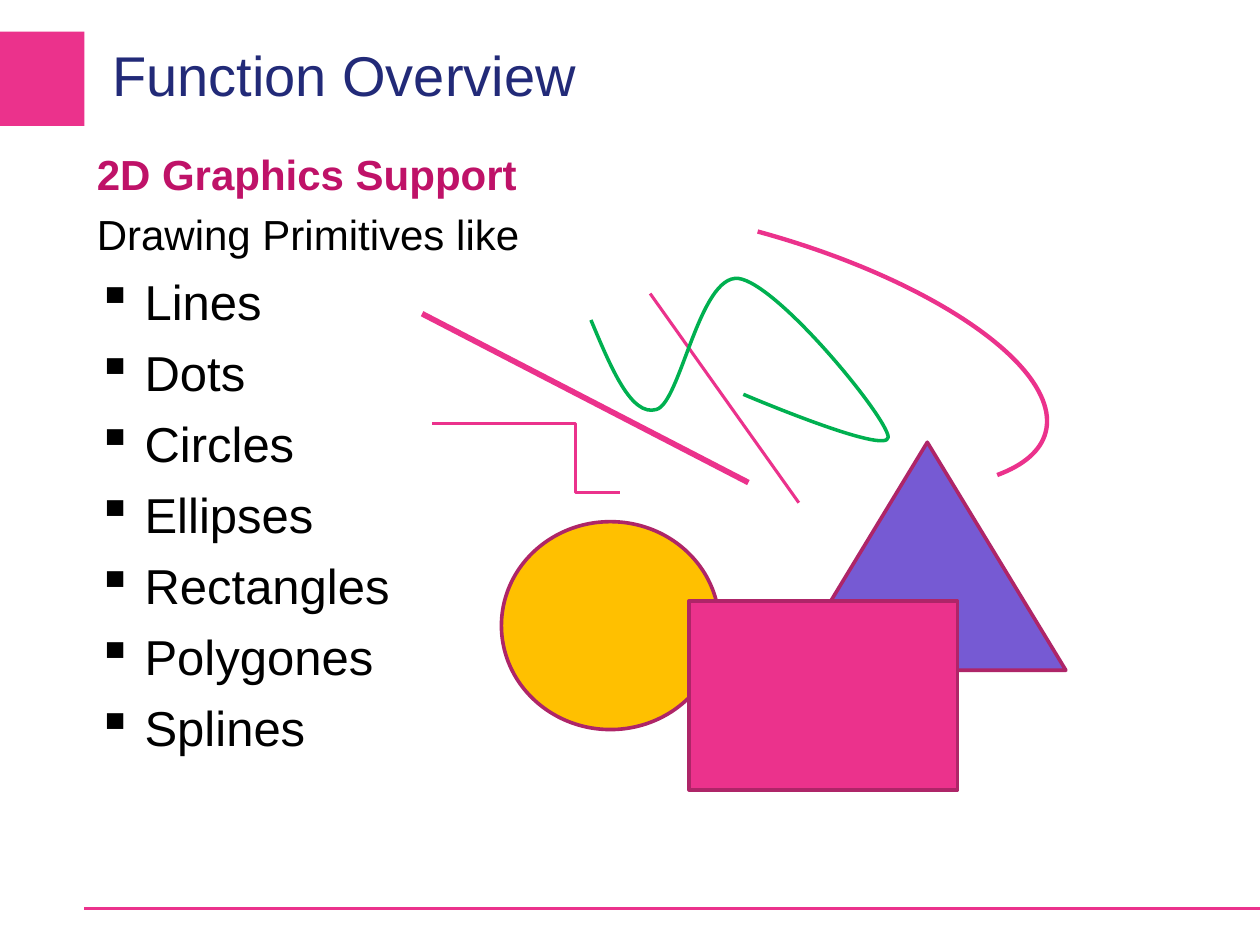
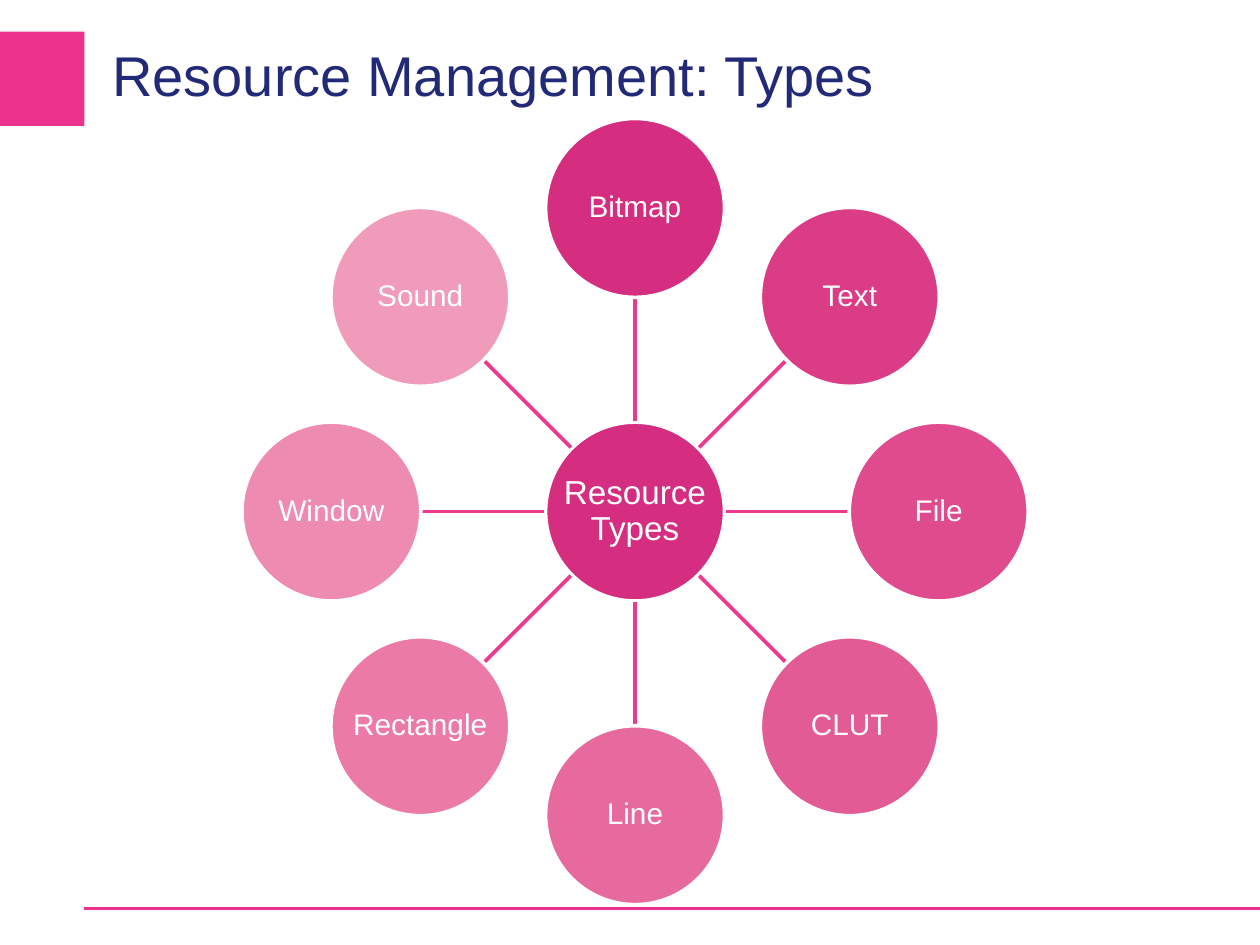
import math
import pptx
import pptx.util
import pptx.dml.color
import pptx.enum.shapes
import pptx.enum.text
import pptx.oxml
import pptx.oxml.ns

Inches = pptx.util.Inches
Pt = pptx.util.Pt
MSO = pptx.enum.shapes.MSO_SHAPE
CONNECTOR = pptx.enum.shapes.MSO_CONNECTOR
MIDDLE = pptx.enum.text.MSO_ANCHOR.MIDDLE
CENTER = pptx.enum.text.PP_ALIGN.CENTER
qn = pptx.oxml.ns.qn

FONT = "Arial"
PINK, NAVY, MAGENTA = "EB328C", "222A78", "BF1268"
OUTLINE, SPOKE, WHITE, BLACK = "AE2568", "EB3A8E", "FFFFFF", "000000"
GREEN, YELLOW, VIOLET = "00B050", "FFC000", "765AD3"


def rgb(value):
    return pptx.dml.color.RGBColor.from_string(value)


def add_child(parent, tag, **attributes):
    child = parent.makeelement(qn(tag), attributes)
    parent.append(child)
    return child


def style_font(p, size, color, bold=False):
    for r in p.runs:
        r.font.name = FONT
        r.font.size = Pt(size)
        r.font.bold = bold
        r.font.color.rgb = rgb(color)


def style_shape(sp, fill=None, line=None, width=2.08):
    sp.shadow.inherit = False
    if fill:
        sp.fill.solid()
        sp.fill.fore_color.rgb = rgb(fill)
    else:
        sp.fill.background()
    if line:
        sp.line.color.rgb = rgb(line)
        sp.line.width = Pt(width)
    else:
        sp.line.fill.background()


def add_shape(s, kind, box, fill=None, line=None, width=2.08):
    sp = s.shapes.add_shape(kind, *map(Inches, box))
    style_shape(sp, fill, line, width)
    return sp


def add_line(s, start, end, color, width, kind=CONNECTOR.STRAIGHT):
    line = s.shapes.add_connector(kind, *map(Inches, (*start, *end)))
    line.line.color.rgb = rgb(color)
    line.line.width = Pt(width)
    add_child(line._element.spPr, "a:effectLst")
    return line


def add_text_box(s, box):
    tf = s.shapes.add_textbox(*map(Inches, box)).text_frame
    tf.word_wrap = True
    return tf


def add_slide(prs, title):
    """Blank slide with the corner block, footer rule and title."""
    s = prs.slides.add_slide(prs.slide_layouts[6])
    add_shape(s, MSO.RECTANGLE, (0, 0.25, 0.67, 0.75), PINK)
    add_line(s, (0.67, 7.21), (10, 7.21), PINK, 2)
    tf = add_text_box(s, (0.89, 0.16, 6.79, 0.85))
    tf.margin_left = tf.margin_right = tf.margin_top = tf.margin_bottom = 0
    tf.vertical_anchor = MIDDLE
    tf.text = title
    style_font(tf.paragraphs[0], 32, NAVY)
    return s


def add_primitive_list(s, box, heading, intro, items):
    tf = add_text_box(s, box)
    tf.text = "\n".join([heading, intro, *items])
    head, lead, *bullets = tf.paragraphs
    style_font(head, 24, MAGENTA, bold=True)
    style_font(lead, 24, BLACK)
    lead.space_before = Pt(5.5)
    for p in bullets:
        p.space_before = Pt(7)
        pPr = p._p.get_or_add_pPr()
        pPr.set("marL", str(Inches(0.38)))
        pPr.set("indent", str(-Inches(0.38)))
        add_child(pPr, "a:buChar", char="▪")
        style_font(p, 28, BLACK)


def add_spline(s, origin, start, curves, color):
    """Each curve holds two control points and an end point."""
    x, y = origin
    place = lambda point: (Inches(x + point[0]), Inches(y + point[1]))
    builder = s.shapes.build_freeform(*place(start))
    builder.add_line_segments([place(pt) for curve in curves for pt in curve], close=False)
    sp = builder.convert_to_shape()
    style_shape(sp, line=color, width=2)
    # Group the line segments by three into cubic curves
    segments = list(sp._element.iter(qn("a:lnTo")))
    outline = segments[0].getparent()
    for i in range(0, len(segments), 3):
        curve = add_child(outline, "a:cubicBezTo")
        for segment in segments[i:i + 3]:
            curve.append(segment[0])
            outline.remove(segment)


def add_drawing_samples(s, x, y):
    """Sample lines, curves and filled shapes, placed from the corner x, y."""
    at = lambda dx, dy, *size: (x + dx, y + dy, *size)
    # Straight lines
    add_line(s, at(1.81, 0.53), at(2.99, 2.19), PINK, 1.75)
    add_line(s, at(0, 0.69), at(2.59, 2.03), PINK, 3.25)
    # Filled shapes behind the rectangle
    add_shape(s, MSO.ISOSCELES_TRIANGLE, at(2.91, 1.71, 2.2, 1.81), VIOLET, OUTLINE)
    add_shape(s, MSO.OVAL, at(0.63, 2.34, 1.73, 1.65), YELLOW, OUTLINE)
    # Stepped line
    step = add_line(s, at(0.08, 1.56), at(1.57, 2.11), PINK, 1.5, CONNECTOR.ELBOW)
    guides = step._element.spPr.find(qn("a:prstGeom")).find(qn("a:avLst"))
    add_child(guides, "a:gd", name="adj1", fmla="val 76500")
    # Arc
    arc = add_shape(s, MSO.ARC, at(-0.24, 0, 5.28, 1.89), None, PINK, 2.5)
    arc.adjustments[0], arc.adjustments[1] = 162.65, 6.14
    arc.rotation = 15.1
    # Rectangle and spline
    add_shape(s, MSO.RECTANGLE, at(2.12, 2.97, 2.13, 1.5), PINK, OUTLINE)
    add_spline(s, at(1.34, 0.38), (0, 0.36), [
        ((0.16, 0.74), (0.32, 1.13), (0.52, 1.07)),
        ((0.71, 1.02), (0.86, 0), (1.17, 0.03)),
        ((1.48, 0.07), (2.35, 1.13), (2.36, 1.29)),
        ((2.36, 1.44), (1.21, 0.95), (1.21, 0.95)),
    ], GREEN)


def add_node(s, center, diameter, label, size, fill):
    x, y = center
    box = (x - diameter / 2, y - diameter / 2, diameter, diameter)
    sp = add_shape(s, MSO.OVAL, box, fill, WHITE)
    tf = sp.text_frame
    tf.word_wrap = False
    tf.margin_left = tf.margin_right = tf.margin_top = tf.margin_bottom = Inches(0.01)
    tf.vertical_anchor = MIDDLE
    tf.text = label
    p = tf.paragraphs[0]
    p.alignment = CENTER
    p.line_spacing = 0.9
    style_font(p, size, WHITE)


def add_radial_diagram(s, center, hub, nodes, radius=2.41, diameter=1.42):
    """Hub with nodes spaced evenly clockwise from the top."""
    def polar(distance, angle):
        return (center[0] + distance * math.sin(angle),
                center[1] - distance * math.cos(angle))

    add_node(s, center, diameter, hub, 19, "D52D7F")
    for i, (label, fill) in enumerate(nodes):
        angle = 2 * math.pi * i / len(nodes)
        add_line(s, polar(diameter / 2 + 0.01, angle),
                 polar(radius - diameter / 2, angle), SPOKE, 2.08)
        add_node(s, polar(radius, angle), diameter, label, 17, fill)


def main():
    prs = pptx.Presentation()
    prs.slide_width, prs.slide_height = Inches(10), Inches(7.5)

    s = add_slide(prs, "Function Overview")
    add_primitive_list(
        s, (0.67, 1.13, 8.66, 6.3), "2D Graphics Support", "Drawing Primitives like",
        ["Lines", "Dots", "Circles", "Ellipses", "Rectangles", "Polygones", "Splines"])
    add_drawing_samples(s, 3.35, 1.8)

    s = add_slide(prs, "Resource Management: Types")
    add_radial_diagram(s, (5.04, 4.06), "Resource\vTypes", [
        ("Bitmap", "D52D7F"), ("Text", "DA3C86"), ("File", "DF4B8D"),
        ("CLUT", "E35B95"), ("Line", "E76A9E"), ("Rectangle", "EB7AA6"),
        ("Window", "EE8BB0"), ("Sound", "F19BBA")])

    prs.save("out.pptx")


if __name__ == "__main__":
    main()
